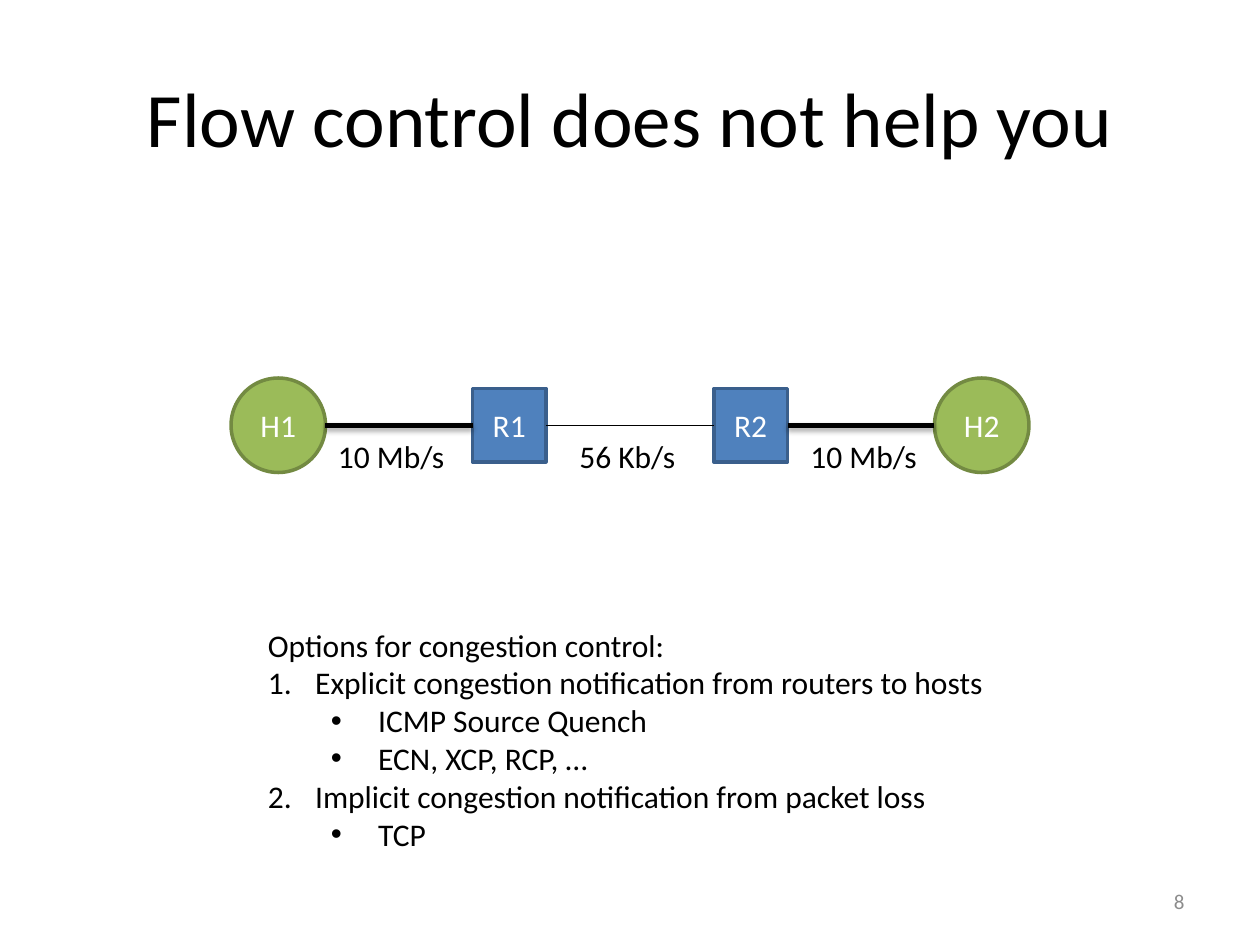
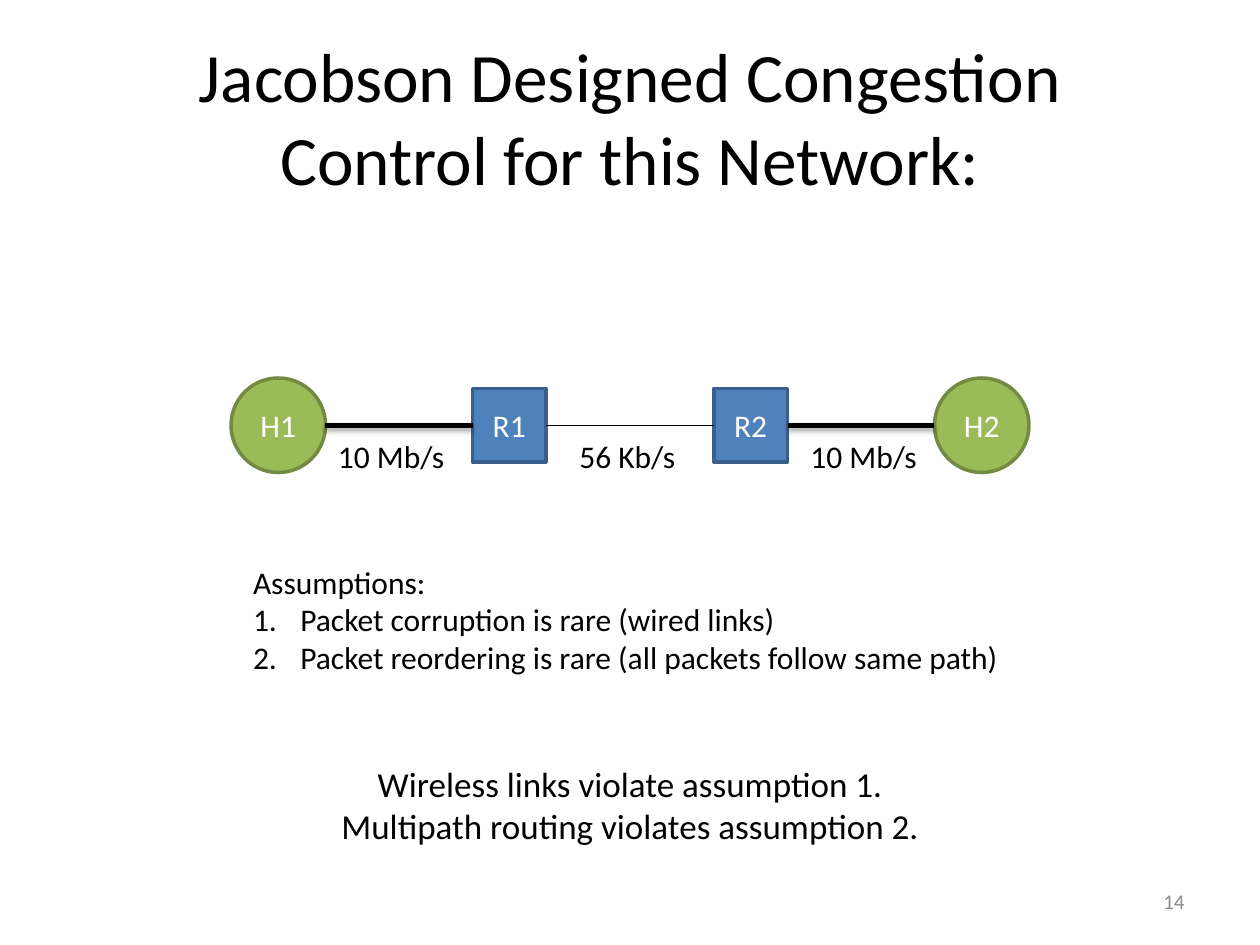
from dataclasses import dataclass
from typing import NamedTuple

from lxml import etree
from pptx import Presentation
from pptx.dml.color import RGBColor
from pptx.enum import shapes, text
from pptx.oxml.ns import qn
from pptx.util import Pt


@dataclass(frozen=True)
class Theme:
    font: str = "Calibri"
    bullet_font: str = "Arial"
    ink: str = "000000"
    light: str = "FFFFFF"
    muted: str = "8C8C8C"
    router: str = "4F81BD"
    router_edge: str = "3A5F8C"
    host: str = "9BBB59"
    host_edge: str = "738A42"
    body: float = 18
    remark: float = 20
    number: float = 12
    edge: float = 2
    thick: float = 3
    thin: float = 0.75


class Box(NamedTuple):
    left: float
    top: float
    width: float
    height: float

    def pts(self) -> tuple:
        return tuple(Pt(v) for v in self)


class Node(NamedTuple):
    name: str
    left: float
    size: float
    is_host: bool


class Link(NamedTuple):
    start: str
    end: str
    rate: str
    is_fast: bool
    label_left: float
    label_width: float


class Line(NamedTuple):
    words: str
    mark: str = ""  # "1" numbers the line, "•" makes a sub-point


class Block(NamedTuple):
    box: Box
    lines: list
    size: float
    align: text.PP_ALIGN


class Page(NamedTuple):
    title: str
    title_size: float
    number: str
    blocks: list


T = Theme()
AXIS_Y = 243  # centre line of the network
LABEL_TOP, LABEL_HEIGHT = 246, 29
HANG = 27
SUB_INDENT = 63
TITLE_BOX = Box(36, 21.6, 648, 90)
NUMBER_BOX = Box(516, 500.5, 168, 28.75)
LEFT, CENTER, RIGHT = text.PP_ALIGN.LEFT, text.PP_ALIGN.CENTER, text.PP_ALIGN.RIGHT

NODES = [
    Node("R1", 270, 42, False),
    Node("R2", 408, 42, False),
    Node("H1", 132, 54, True),
    Node("H2", 534, 54, True),
]
LINKS = [
    Link("H1", "R1", "10 Mb/s", True, 186, 76.3),
    Link("R1", "R2", "56 Kb/s", False, 324, 69.8),
    Link("R2", "H2", "10 Mb/s", True, 456, 76.3),
]
PAGES = [
    Page("Flow control does not help you", 44, "8", [
        Block(Box(146, 354, 428, 138), [
            Line("Options for congestion control:"),
            Line("Explicit congestion notification from routers to hosts", "1"),
            Line("ICMP Source Quench", "•"),
            Line("ECN, XCP, RCP, …", "•"),
            Line("Implicit congestion notification from packet loss", "1"),
            Line("TCP", "•"),
        ], T.body, LEFT),
    ]),
    Page("Jacobson Designed Congestion\vControl for this Network:", 39.6, "14", [
        Block(Box(137.5, 318, 445, 72.7), [
            Line("Assumptions:"),
            Line("Packet corruption is rare (wired links)", "1"),
            Line("Packet reordering is rare (all packets follow same path)", "1"),
        ], T.body, LEFT),
        Block(Box(182.2, 432, 355.6, 55.7), [
            Line("Wireless links violate assumption 1."),
            Line("Multipath routing violates assumption 2."),
        ], T.remark, CENTER),
    ]),
]


def rgb(value: str) -> RGBColor:
    return RGBColor.from_string(value)


def style(tf, size: float, color: str, align) -> None:
    for p in tf.paragraphs:
        p.alignment = align
        for r in p.runs:
            r.font.name, r.font.size = T.font, Pt(size)
            r.font.color.rgb = rgb(color)


def add_text(s, box: Box, words: str, size: float, color: str = T.ink,
             align=LEFT, wrap: bool = False):
    tf = s.shapes.add_textbox(*box.pts()).text_frame
    tf.word_wrap = wrap
    if not wrap:
        tf.auto_size = text.MSO_AUTO_SIZE.SHAPE_TO_FIT_TEXT
    tf.text = words
    style(tf, size, color, align)
    return tf


def add_title(s, page: Page) -> None:
    sp = s.shapes.title
    sp.left, sp.top, sp.width, sp.height = TITLE_BOX.pts()
    tf = sp.text_frame
    tf.text = page.title
    tf.vertical_anchor = text.MSO_ANCHOR.MIDDLE
    style(tf, page.title_size, T.ink, CENTER)


def add_node(s, node: Node):
    kind, fill, edge = (
        (shapes.MSO_SHAPE.OVAL, T.host, T.host_edge) if node.is_host
        else (shapes.MSO_SHAPE.RECTANGLE, T.router, T.router_edge))
    box = Box(node.left, AXIS_Y - node.size / 2, node.size, node.size)
    sp = s.shapes.add_shape(kind, *box.pts())
    sp.shadow.inherit = False
    sp.fill.solid()
    sp.fill.fore_color.rgb = rgb(fill)
    sp.line.color.rgb = rgb(edge)
    sp.line.width = Pt(T.edge)
    tf = sp.text_frame
    tf.margin_left = tf.margin_right = 0
    tf.text = node.name
    tf.vertical_anchor = text.MSO_ANCHOR.MIDDLE
    style(tf, T.body, T.light, CENTER)
    return sp


def set_shadow(line, visible: bool) -> None:
    effects = etree.SubElement(line._element.spPr, qn("a:effectLst"))
    if visible:
        shadow = etree.SubElement(effects, qn("a:outerShdw"), blurRad=str(Pt(3.1)),
                                  dist=str(Pt(1.8)), dir="5400000", rotWithShape="0")
        color = etree.SubElement(shadow, qn("a:srgbClr"), val=T.ink)
        etree.SubElement(color, qn("a:alpha"), val="35000")


def add_link(s, link: Link, drawn: dict) -> None:
    a, b = drawn[link.start], drawn[link.end]
    line = s.shapes.add_connector(shapes.MSO_CONNECTOR.STRAIGHT, a.left + a.width,
                                  Pt(AXIS_Y), b.left, Pt(AXIS_Y))
    if a.auto_shape_type == shapes.MSO_SHAPE.RECTANGLE:
        line.begin_connect(a, 3)
    if b.auto_shape_type == shapes.MSO_SHAPE.RECTANGLE:
        line.end_connect(b, 1)
    line.line.color.rgb = rgb(T.ink)
    line.line.width = Pt(T.thick if link.is_fast else T.thin)
    set_shadow(line, link.is_fast)


def add_network(s) -> None:
    drawn = {node.name: add_node(s, node) for node in NODES}
    for link in LINKS:
        add_link(s, link, drawn)
    for link in LINKS:
        box = Box(link.label_left, LABEL_TOP, link.label_width, LABEL_HEIGHT)
        add_text(s, box, link.rate, T.body)


def set_marker(p, mark: str) -> None:
    pPr = p._p.get_or_add_pPr()
    pPr.set("marL", str(Pt(SUB_INDENT if mark == "•" else HANG)))
    pPr.set("indent", str(Pt(-HANG)))
    if mark == "•":
        p.level = 1
        etree.SubElement(pPr, qn("a:buFont"), typeface=T.bullet_font)
        etree.SubElement(pPr, qn("a:buChar"), char=mark)
    elif mark:
        etree.SubElement(pPr, qn("a:buFont"), typeface=T.font)
        etree.SubElement(pPr, qn("a:buAutoNum"), type="arabicPeriod")


def add_block(s, block: Block) -> None:
    words = "\n".join(line.words for line in block.lines)
    tf = add_text(s, block.box, words, block.size, align=block.align)
    for p, line in zip(tf.paragraphs, block.lines):
        set_marker(p, line.mark)


def add_page(prs, page: Page) -> None:
    s = prs.slides.add_slide(prs.slide_layouts.get_by_name("Title Only"))
    add_title(s, page)
    add_network(s)
    for block in page.blocks:
        add_block(s, block)
    # Slide number
    tf = add_text(s, NUMBER_BOX, page.number, T.number, T.muted, RIGHT, wrap=True)
    tf.vertical_anchor = text.MSO_ANCHOR.MIDDLE


def main() -> None:
    prs = Presentation()
    prs.slide_width, prs.slide_height = Pt(720), Pt(540)
    for page in PAGES:
        add_page(prs, page)
    prs.save("out.pptx")


if __name__ == "__main__":
    main()
